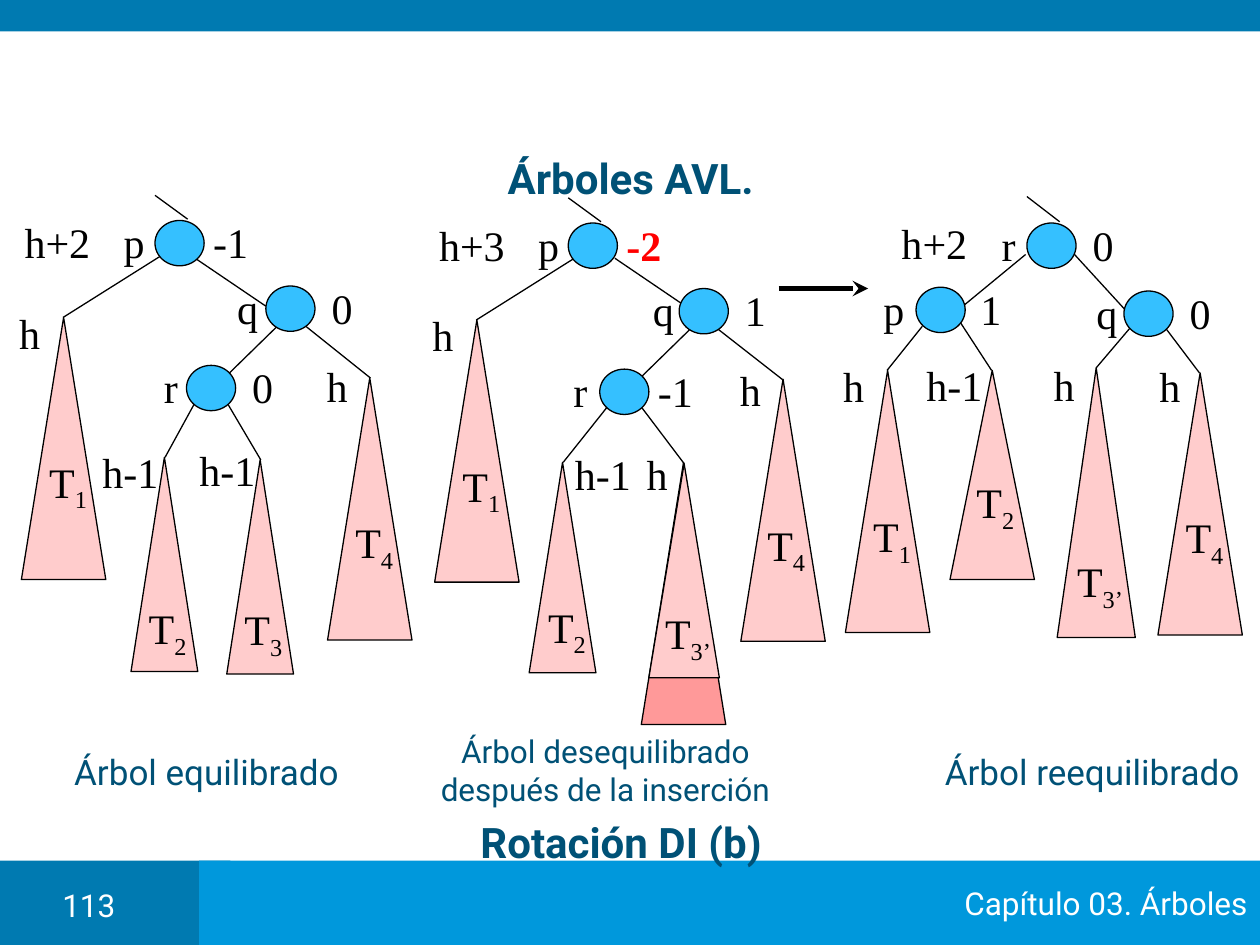
import pptx
import pptx.dml.color
import pptx.enum.shapes
import pptx.enum.text
import pptx.util
from pptx.util import Inches

RGBColor = pptx.dml.color.RGBColor
SHAPE = pptx.enum.shapes.MSO_SHAPE
ALIGN = pptx.enum.text.PP_ALIGN
ANCHOR = pptx.enum.text.MSO_ANCHOR

BLACK = RGBColor(0x00, 0x00, 0x00)
WHITE = RGBColor(0xFF, 0xFF, 0xFF)
RED = RGBColor(0xFF, 0x00, 0x00)
NAVY = RGBColor(0x00, 0x51, 0x76)
DARK_BLUE = RGBColor(0x00, 0x7A, 0xB1)
BRIGHT_BLUE = RGBColor(0x00, 0x98, 0xDC)
NODE_BLUE = RGBColor(0x35, 0xC0, 0xFF)
PINK = RGBColor(0xFF, 0xCC, 0xCC)
DARK_PINK = RGBColor(0xFF, 0x99, 0x99)

SANS = "Roboto"
SERIF = "Times New Roman"
NODE_WIDTH, NODE_HEIGHT = 0.39, 0.36
LABEL_HEIGHT = 0.5

# Edges: from x, from y, to x, to y
# Nodes: left, top, name, name left, balance, balance left
# Subtrees: left, top, width, height, index, label left, label top, label width
# Heights: text, left, top, width
BALANCED = {
    "edges": [(2.39, 2.56, 2.94, 3), (2.2, 2.59, 1.76, 3.02), (1.52, 2.03, 2.11, 2.43),
              (1.31, 2.01, 0.5, 2.52), (1.49, 1.74, 1.23, 1.55),
              (1.54, 3.21, 1.31, 3.63), (1.81, 3.21, 2.07, 3.65)],
    "nodes": [(1.23, 1.75, "p", 0.88, "-1", 1.59), (2.11, 2.27, "q", 1.78, "0", 2.53),
              (1.48, 2.9, "r", 1.2, "0", 1.9)],
    "subtrees": [(0.17, 2.52, 0.67, 2.08, "1", 0.24, 3.6, 0.6),
                 (1.04, 3.63, 0.53, 1.7, "2", 1.04, 4.76, 0.58),
                 (1.8, 3.65, 0.53, 1.7, "3", 1.8, 4.77, 0.58),
                 (2.6, 3, 0.67, 2.08, "4", 2.67, 4.08, 0.6)],
    "heights": [("h+2", 0.03, 1.67, 0.85), ("h", -0.14, 2.39, 0.75), ("h-1", 0.66, 3.49, 0.75),
                ("h-1", 1.43, 3.48, 0.75), ("h", 2.3, 2.81, 0.75)],
}
REBALANCED = {
    "edges": [(8.51, 2, 8.94, 2.47), (7.59, 2.51, 7.87, 2.94), (9.24, 2.59, 9.52, 2.96),
              (8.14, 2.02, 7.63, 2.44), (8.98, 2.59, 8.7, 2.92),
              (7.32, 2.59, 7.04, 2.94), (8.41, 1.76, 8.15, 1.56)],
    "nodes": [(8.15, 1.77, "r", 7.85, "0", 8.57), (7.27, 2.28, "p", 6.91, "1", 7.68),
              (8.92, 2.31, "q", 8.6, "0", 9.34)],
    "subtrees": [(6.71, 2.94, 0.67, 2.08, "1", 6.78, 4.03, 0.6),
                 (7.54, 2.94, 0.67, 1.66, "2", 7.6, 3.76, 0.6),
                 (8.39, 2.92, 0.62, 2.14, "3’", 8.39, 4.39, 0.68),
                 (9.19, 2.96, 0.67, 2.08, "4", 9.26, 4.04, 0.6)],
    "heights": [("h+2", 6.99, 1.68, 0.85), ("h", 6.4, 2.81, 0.75), ("h-1", 7.2, 2.8, 0.75),
                ("h", 8.07, 2.8, 0.75), ("h", 8.91, 2.81, 0.75)],
}
UNBALANCED = {
    "edges": [(5.67, 2.59, 6.22, 3.02), (5.48, 2.61, 5.04, 3.04), (4.88, 2.05, 5.47, 2.45),
              (4.59, 2.03, 3.78, 2.54), (4.77, 1.76, 4.51, 1.57),
              (4.82, 3.23, 4.47, 3.67), (5.09, 3.23, 5.43, 3.68)],
    "nodes": [(4.51, 1.77, "p", 4.17, "-2", 4.87), (5.39, 2.29, "q", 5.08, "1", 5.81),
              (4.76, 2.93, "r", 4.45, "-1", 5.12)],
    "subtrees": [(3.45, 2.54, 0.67, 2.08, "1", 3.52, 3.63, 0.6),
                 (4.2, 3.67, 0.53, 1.67, "2", 4.2, 4.75, 0.6),
                 (5.15, 3.68, 0.56, 1.7, "3’", 5.15, 4.8, 0.62),
                 (5.88, 3.01, 0.67, 2.08, "4", 5.94, 4.1, 0.6)],
    "heights": [("h+3", 3.32, 1.69, 0.85), ("h", 3.14, 2.41, 0.75), ("h-1", 4.41, 3.51, 0.75),
                ("h", 4.84, 3.51, 0.75), ("h", 5.58, 2.84, 0.75)],
}


def write_text(box, text, size=24, font=SERIF, color=BLACK, bold=False,
               align=ALIGN.CENTER, anchor=ANCHOR.MIDDLE, wrap=True, subscript=""):
    """Fill a shape with one formatted paragraph."""
    frame = box.text_frame
    frame.word_wrap = wrap
    frame.vertical_anchor = anchor
    para = frame.paragraphs[0]
    para.alignment = align
    for part in filter(None, (text, subscript)):
        span = para.add_run()
        span.text = part
        span.font.size = pptx.util.Pt(size)
        span.font.name = font
        span.font.bold = bold
        span.font.color.rgb = color
    if subscript:
        span._r.get_or_add_rPr().set("baseline", "-25000")


def add_text(shapes, text, left, top, width, height=LABEL_HEIGHT, **style):
    box = shapes.add_textbox(Inches(left), Inches(top), Inches(width), Inches(height))
    write_text(box, text, **style)


def add_filled(shapes, kind, left, top, width, height, fill, outlined=True):
    shape = shapes.add_shape(kind, Inches(left), Inches(top), Inches(width), Inches(height))
    shape.shadow.inherit = False
    shape.fill.solid()
    shape.fill.fore_color.rgb = fill
    if outlined:
        shape.line.color.rgb = BLACK
        shape.line.width = pptx.util.Pt(0.75)
    else:
        shape.line.fill.background()
    return shape


def add_line(shapes, start_x, start_y, end_x, end_y, weight=0.75, arrow=False):
    line = shapes.add_connector(pptx.enum.shapes.MSO_CONNECTOR.STRAIGHT, Inches(start_x),
                                Inches(start_y), Inches(end_x), Inches(end_y))
    line.line.color.rgb = BLACK
    line.line.width = pptx.util.Pt(weight)
    if arrow:
        head = pptx.oxml.xmlchemy.OxmlElement("a:tailEnd")
        head.set("type", "stealth")
        line.line._get_or_add_ln().append(head)
    line._element.spPr.append(pptx.oxml.xmlchemy.OxmlElement("a:effectLst"))


def add_node(shapes, left, top, name, name_left, balance, balance_left):
    add_filled(shapes, SHAPE.OVAL, left, top, NODE_WIDTH, NODE_HEIGHT, NODE_BLUE)
    label_top = top - 0.08
    add_text(shapes, name, name_left, label_top, 0.31 if name == "r" else 0.37, wrap=False)
    critical = balance == "-2"
    add_text(shapes, balance, balance_left, label_top, 0.48 if len(balance) > 1 else 0.37,
             wrap=False, bold=critical, color=RED if critical else BLACK)


def add_tree(shapes, tree):
    for edge in tree["edges"]:
        add_line(shapes, *edge)
    for left, top, width, height, index, label_left, label_top, label_width in tree["subtrees"]:
        add_filled(shapes, SHAPE.ISOSCELES_TRIANGLE, left, top, width, height, PINK)
        add_text(shapes, "T", label_left, label_top, label_width, subscript=index)
    for node in tree["nodes"]:
        add_node(shapes, *node)
    for text, left, top, width in tree["heights"]:
        add_text(shapes, text, left, top, width)


def add_frame(slide):
    """Draw the bands, the footer, the page number and the title."""
    shapes = slide.shapes
    add_filled(shapes, SHAPE.RECTANGLE, 0, 6.83, 1.83, 0.67, DARK_BLUE, outlined=False)
    footer = add_filled(shapes, SHAPE.RECTANGLE, 1.58, 6.83, 8.42, 0.67, BRIGHT_BLUE, outlined=False)
    write_text(footer, "Capítulo 03. Árboles", size=18, font=SANS, color=WHITE,
               align=ALIGN.RIGHT, wrap=False)
    add_filled(shapes, SHAPE.RECTANGLE, 0, 0, 10, 0.25, DARK_BLUE, outlined=False)
    add_text(shapes, "113", 0.35, 6.98, 0.71, 0.32, size=18, font=SANS, color=WHITE,
             anchor=ANCHOR.TOP)
    title = shapes.title
    title.left, title.top, title.width, title.height = map(Inches, (0.83, 1.2, 8.35, 0.42))
    write_text(title, "Árboles AVL.", font=SANS, color=NAVY, bold=True)


def main():
    deck = pptx.Presentation()
    deck.slide_width, deck.slide_height = Inches(10), Inches(7.5)
    page = deck.slides.add_slide(deck.slide_layouts[5])
    add_frame(page)
    caption = {"font": SANS, "color": NAVY, "anchor": ANCHOR.TOP}

    # Balanced tree
    balanced = page.shapes.add_group_shape().shapes
    add_tree(balanced, BALANCED)
    add_text(balanced, "Árbol equilibrado", 0.49, 5.91, 2.31, 0.44, size=20,
             align=ALIGN.LEFT, wrap=False, **caption)

    # Rebalanced tree and the arrow leading to it
    rebalanced = page.shapes.add_group_shape().shapes
    add_line(rebalanced, 6.18, 2.29, 6.89, 2.29, weight=3, arrow=True)
    add_tree(rebalanced, REBALANCED)
    add_text(rebalanced, "Árbol reequilibrado", 7.4, 5.91, 2.56, 0.44, size=20,
             align=ALIGN.LEFT, wrap=False, **caption)

    # Unbalanced tree, with the inserted part below T3’
    unbalanced = page.shapes.add_group_shape().shapes
    add_filled(unbalanced, SHAPE.ISOSCELES_TRIANGLE, 5.09, 3.67, 0.67, 2.08, DARK_PINK)
    add_tree(unbalanced, UNBALANCED)
    add_text(unbalanced, "Árbol desequilibrado después de la inserción", 3.36, 5.76, 2.89, 0.71,
             size=18, **caption)

    # Name of the rotation
    add_text(page.shapes, "Rotación DI (b)", 3.16, 6.43, 3.54, 0.51, bold=True, **caption)
    deck.save("out.pptx")


if __name__ == "__main__":
    main()
